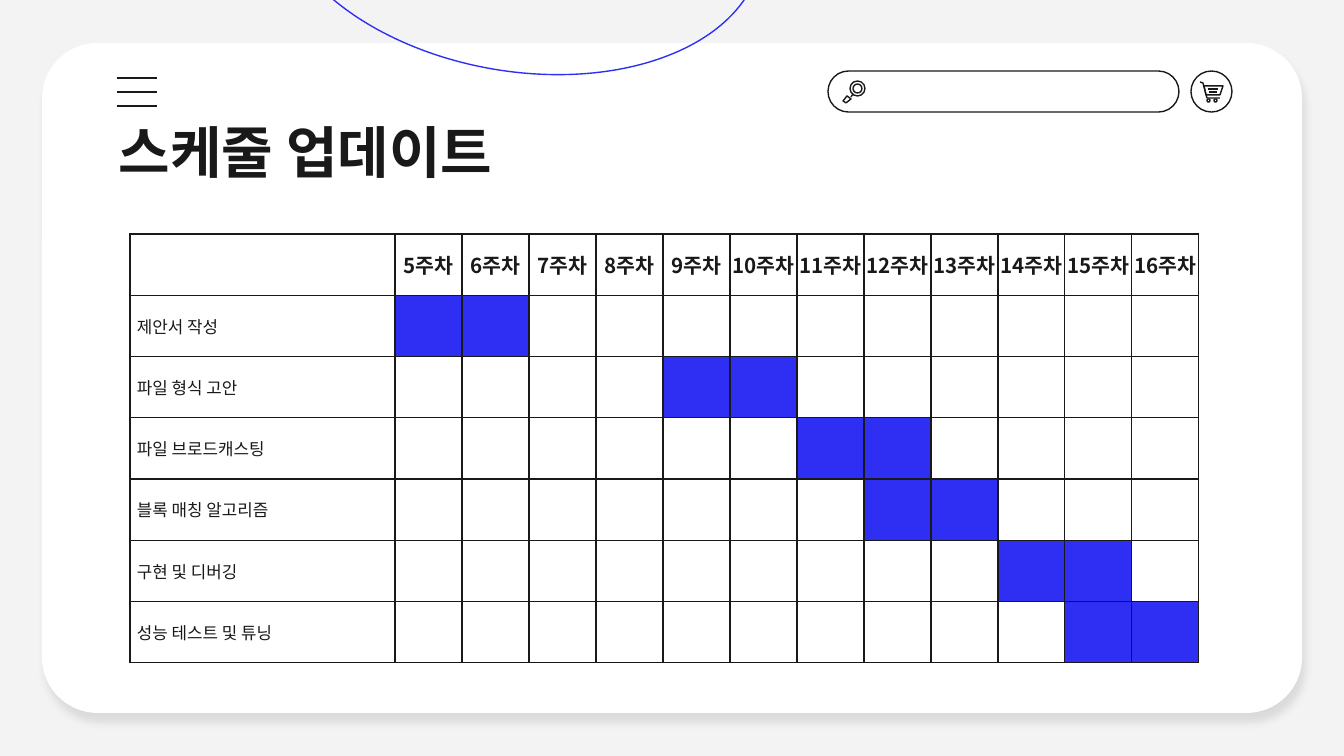
from lxml import etree
from pptx import Presentation
from pptx.dml.color import RGBColor
from pptx.enum.shapes import MSO_CONNECTOR, MSO_SHAPE
from pptx.enum.text import MSO_ANCHOR, PP_ALIGN
from pptx.oxml import parse_xml
from pptx.oxml.ns import nsdecls, qn
from pptx.util import Pt

SCALE = 914400 / 134.4
FONT = "Noto Sans CJK KR"
LINE_WIDTH = Pt(0.75)

INK = RGBColor(0x19, 0x19, 0x19)
BLUE = RGBColor(0x2F, 0x2F, 0xF4)
WHITE = RGBColor(0xFF, 0xFF, 0xFF)
PALE_GRAY = RGBColor(0xF3, 0xF3, 0xF3)

ROUND_RECT = MSO_SHAPE.ROUNDED_RECTANGLE
OVAL = MSO_SHAPE.OVAL
STRAIGHT = MSO_CONNECTOR.STRAIGHT
TOP = MSO_ANCHOR.TOP
MIDDLE = MSO_ANCHOR.MIDDLE
LEFT = PP_ALIGN.LEFT
CENTER = PP_ALIGN.CENTER

FIRST_WEEK, LAST_WEEK = 5, 16
TASKS = [
    ("제안서 작성", 5, 6),
    ("파일 형식 고안", 9, 10),
    ("파일 브로드캐스팅", 11, 12),
    ("블록 매칭 알고리즘", 12, 13),
    ("구현 및 디버깅", 14, 15),
    ("성능 테스트 및 튜닝", 15, 16),
]


def px(*lengths):
    return [round(length * SCALE) for length in lengths]


class SlideBuilder:
    def __init__(self, page, color=INK, font=FONT):
        self.page = page
        self.color = color
        self.font = font

    def background(self, color):
        fill = self.page.background.fill
        fill.solid()
        fill.fore_color.rgb = color

    def paint(self, shape, fill, line):
        shape.shadow.inherit = False
        if fill is None:
            shape.fill.background()
        else:
            shape.fill.solid()
            shape.fill.fore_color.rgb = fill
        if line is None:
            shape.line.fill.background()
        else:
            shape.line.color.rgb = line
            shape.line.width = LINE_WIDTH
        return shape

    def shape(self, kind, left, top, width, height, fill=None, line=INK, radius=None):
        shape = self.page.shapes.add_shape(kind, *px(left, top, width, height))
        if radius is not None:
            shape.adjustments[0] = radius
        return self.paint(shape, fill, line)

    def drop_shadow(self, shape):
        effects = shape._element.spPr.find(qn("a:effectLst"))
        effects.append(parse_xml(
            f'<a:outerShdw {nsdecls("a")} blurRad="{Pt(4.5)}" dist="{Pt(6)}" '
            f'dir="{68 * 60000}" algn="bl" rotWithShape="0">'
            '<a:srgbClr val="000000"><a:alpha val="10000"/></a:srgbClr></a:outerShdw>'))

    def line(self, left, top, right, bottom):
        line = self.page.shapes.add_connector(STRAIGHT, *px(left, top, right, bottom))
        line.line.color.rgb = self.color
        line.line.width = LINE_WIDTH
        etree.SubElement(line._element.spPr, qn("a:effectLst"))

    def outline(self, points, close=True):
        builder = self.page.shapes.build_freeform(*points[0], scale=SCALE)
        builder.add_line_segments(points[1:], close=close)
        self.paint(builder.convert_to_shape(), None, self.color)

    def style_text(self, para, size, bold, align):
        para.alignment = align
        for span in para.runs:
            span.font.size = Pt(size)
            span.font.bold = bold
            span.font.name = self.font
            span.font.color.rgb = self.color
            latin = span.font._element.find(qn("a:latin"))
            latin.addnext(parse_xml(f'<a:ea {nsdecls("a")} typeface="{self.font}"/>'))

    def text(self, text, left, top, width, height, size, bold=False):
        box = self.page.shapes.add_textbox(*px(left, top, width, height))
        frame = box.text_frame
        frame.word_wrap = True
        frame.vertical_anchor = TOP
        frame.margin_left, frame.margin_right, frame.margin_top, frame.margin_bottom = px(13, 13, 13, 13)
        frame.text = text
        frame.paragraphs[0].line_spacing = 0.9
        self.style_text(frame.paragraphs[0], size, bold, LEFT)

    def cell(self, cell, text="", fill=None, size=9, bold=False, align=LEFT, inset=0):
        cell.margin_left, cell.margin_right, cell.margin_top, cell.margin_bottom = px(*[inset] * 4)
        cell.vertical_anchor = MIDDLE
        if fill is None:
            cell.fill.background()
        else:
            cell.fill.solid()
            cell.fill.fore_color.rgb = fill
        if text:
            cell.text = text
            self.style_text(cell.text_frame.paragraphs[0], size, bold, align)
        properties = cell._tc.get_or_add_tcPr()
        for index, side in enumerate(("lnL", "lnR", "lnT", "lnB")):
            properties.insert(index, parse_xml(
                f'<a:{side} {nsdecls("a")} w="{LINE_WIDTH}"><a:solidFill>'
                f'<a:srgbClr val="{self.color}"/></a:solidFill></a:{side}>'))

    def schedule(self, left, top, label_width, week_width, height):
        weeks = range(FIRST_WEEK, LAST_WEEK + 1)
        width = label_width + week_width * len(weeks)
        table = self.page.shapes.add_table(
            len(TASKS) + 1, len(weeks) + 1, *px(left, top, width, height)).table
        table.first_row = table.horz_banding = False
        for column, column_width in zip(table.columns, [label_width] + [week_width] * len(weeks)):
            column.width = px(column_width)[0]
        self.cell(table.cell(0, 0))
        for column, week in enumerate(weeks, 1):
            self.cell(table.cell(0, column), f"{week}주차", size=11, bold=True, align=CENTER)
        for row, (task, start, end) in enumerate(TASKS, 1):
            self.cell(table.cell(row, 0), task, inset=7)
            for column, week in enumerate(weeks, 1):
                self.cell(table.cell(row, column), fill=BLUE if start <= week <= end else None)

    def search_icon(self):
        self.shape(OVAL, 850, 81, 15, 15)
        self.shape(OVAL, 853, 84, 9, 9)
        self.line(851, 97, 853, 94)
        self.outline([(847, 96), (851, 99), (846, 103), (843, 101)])

    def cart_icon(self):
        self.outline([(1200, 82), (1203, 83), (1207, 98), (1220, 98)], close=False)
        self.outline([(1204, 86), (1223, 86), (1220, 95), (1206, 95)])
        self.line(1208, 89, 1218, 89)
        self.line(1209, 92, 1217, 92)
        for left in (1207, 1214):
            self.shape(OVAL, left, 99, 3, 3)


def main():
    deck = Presentation()
    deck.slide_width, deck.slide_height = px(1344, 756)
    slide = SlideBuilder(deck.slides.add_slide(deck.slide_layouts[6]))
    slide.background(PALE_GRAY)

    card = slide.shape(ROUND_RECT, 42, 43, 1260, 670, fill=WHITE, line=None, radius=0.083)
    slide.drop_shadow(card)
    arc = slide.shape(OVAL, 270, -239, 495, 310, line=BLUE)
    arc.rotation = 10.1

    for top in (78, 92, 106):
        slide.line(117, top, 157, top)
    slide.shape(ROUND_RECT, 828, 71, 351, 41, radius=0.5)
    slide.search_icon()
    slide.shape(OVAL, 1191, 71, 41, 41)
    slide.cart_icon()

    slide.text("스케줄 업데이트", 106, 112, 1133, 85, size=30, bold=True)
    slide.schedule(130, 234, label_width=265, week_width=67, height=429)
    deck.save("out.pptx")


if __name__ == "__main__":
    main()
